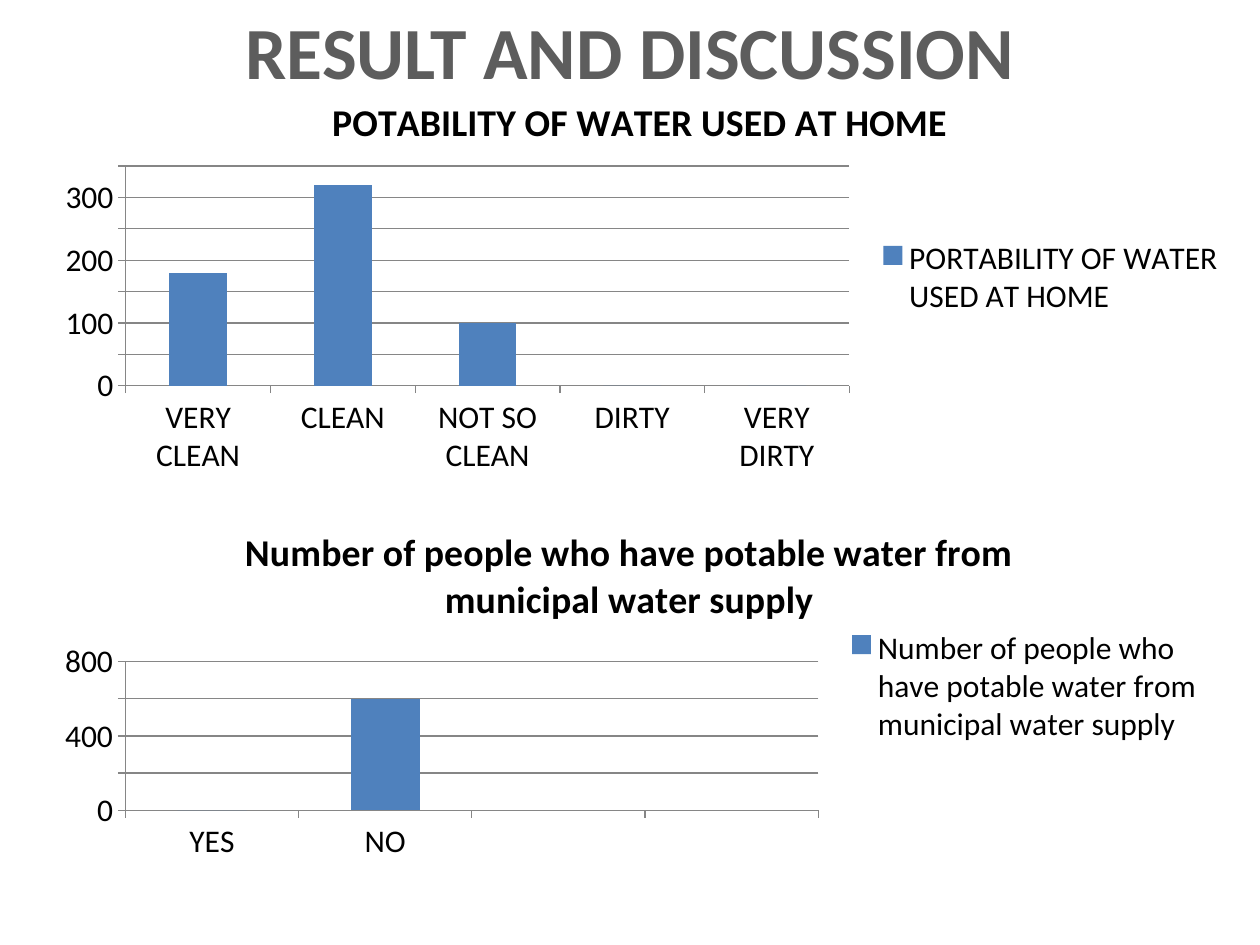
"""Build the slide with the results of the water survey."""
from pptx import Presentation
from pptx.chart.data import CategoryChartData
from pptx.dml.color import RGBColor
from pptx.enum.chart import XL_CHART_TYPE as ChartType, XL_LEGEND_POSITION as LegendPosition
from pptx.enum.chart import XL_TICK_MARK as TickMark
from pptx.enum.text import MSO_ANCHOR as Anchor, PP_ALIGN as Align
from pptx.util import Inches, Pt

FONT = "Calibri"
BLACK = RGBColor(0x00, 0x00, 0x00)
HEADING_GRAY = RGBColor(0x5D, 0x5D, 0x5D)
LINE_GRAY = RGBColor(0x86, 0x86, 0x86)
BAR_BLUE = RGBColor(0x4F, 0x81, 0xBD)

HEADING = "RESULT AND DISCUSSION"
SUPPLY = "Number of people who have potable water from municipal water supply"
SURVEYS = [
    {
        "title": "POTABILITY OF WATER USED AT HOME",
        "series": "PORTABILITY OF WATER USED AT HOME",
        "answers": ["VERY CLEAN", "CLEAN", "NOT SO CLEAN", "DIRTY", "VERY DIRTY"],
        "people": [180, 320, 100, 0, 0],
        "scale": (350, 50),
        "box": (0.33, 0.58, 9.5, 3.25),
    },
    {
        "title": SUPPLY,
        "series": SUPPLY,
        "answers": ["YES", "NO", "", ""],
        "people": [0, 600, None, None],
        "scale": (800, 200),
        "box": (0.33, 4, 9.33, 2.89),
    },
]


def style_font(font, size, color, bold):
    font.name, font.size, font.bold = FONT, Pt(size), bold
    font.color.rgb = color


def add_heading(slide):
    heading = slide.shapes.add_textbox(Inches(1.82), 0, Inches(6.36), Inches(0.81))
    frame = heading.text_frame
    frame.word_wrap = True
    frame.vertical_anchor = Anchor.TOP
    line = frame.paragraphs[0]
    line.alignment = Align.CENTER
    run = line.add_run()
    run.text = HEADING
    style_font(run.font, 42, HEADING_GRAY, True)


def add_survey(slide, survey):
    data = CategoryChartData()
    data.categories = survey["answers"]
    data.add_series(survey["series"], survey["people"])
    box = [Inches(length) for length in survey["box"]]
    chart = slide.shapes.add_chart(ChartType.COLUMN_CLUSTERED, *box, data).chart
    style_font(chart.font, 18, BLACK, False)

    chart.has_title = True
    title_run = chart.chart_title.text_frame.paragraphs[0].add_run()
    title_run.text = survey["title"]
    style_font(title_run.font, 21.6, BLACK, True)
    chart.chart_title.include_in_layout = False

    chart.has_legend = True
    chart.legend.position = LegendPosition.RIGHT
    chart.legend.include_in_layout = False

    people_axis = chart.value_axis
    people_axis.minimum_scale = 0
    people_axis.maximum_scale, people_axis.major_unit = survey["scale"]
    people_axis.has_major_gridlines = True
    for axis in (chart.category_axis, people_axis):
        axis.major_tick_mark = TickMark.OUTSIDE
        axis.format.line.color.rgb = LINE_GRAY
    people_axis.major_gridlines.format.line.color.rgb = LINE_GRAY

    plot = chart.plots[0]
    plot.vary_by_categories = False
    plot.gap_width = 150
    fill = plot.series[0].format.fill
    fill.solid()
    fill.fore_color.rgb = BAR_BLUE


deck = Presentation()
deck.slide_width, deck.slide_height = Inches(10), Inches(7.5)
results = deck.slides.add_slide(deck.slide_layouts[6])
add_heading(results)
for survey in SURVEYS:
    add_survey(results, survey)
deck.save("out.pptx")
